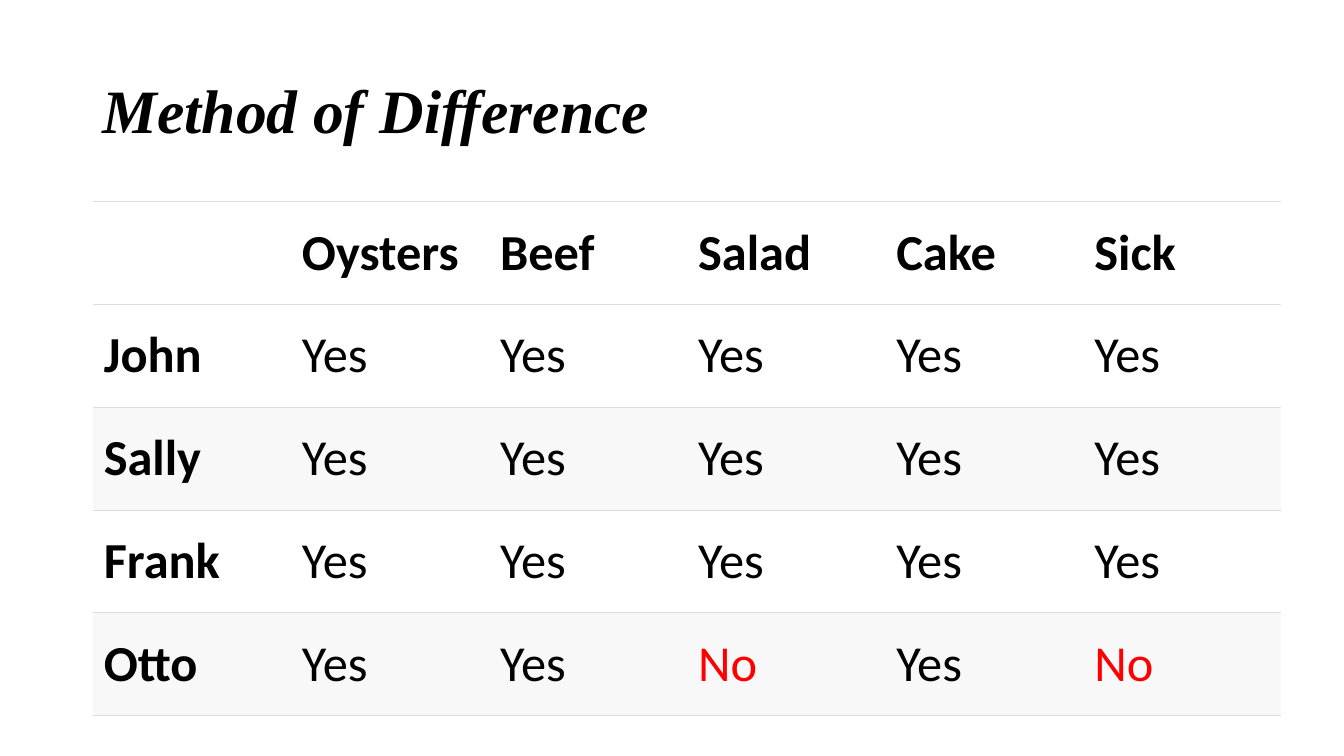
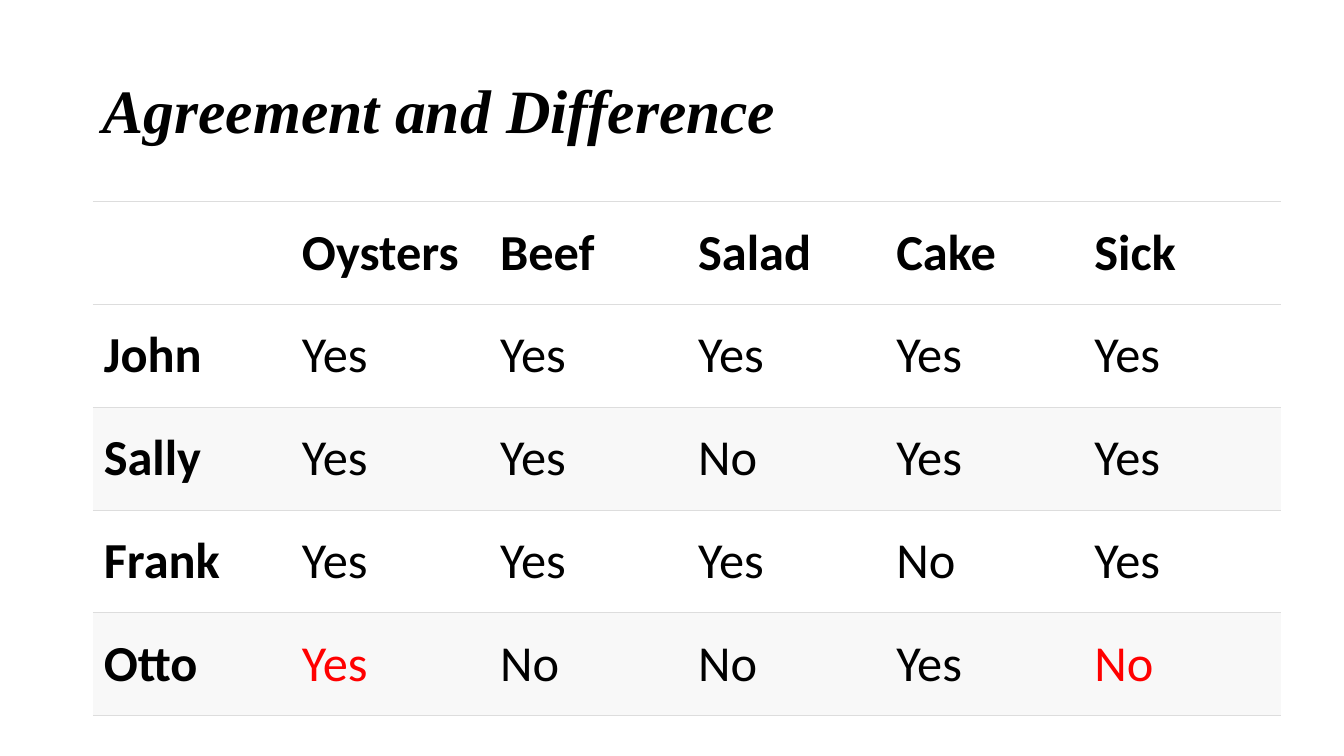
from typing import NamedTuple

from lxml import etree
from pptx import Presentation
from pptx import util as u
from pptx.dml.color import RGBColor
from pptx.enum import text
from pptx.oxml import ns

BLACK = RGBColor(0x00, 0x00, 0x00)
RED = RGBColor(0xFF, 0x00, 0x00)
WHITE = RGBColor(0xFF, 0xFF, 0xFF)
BAND = RGBColor(0xF8, 0xF8, 0xF8)
RULE = RGBColor(0xDD, 0xDD, 0xDD)

TITLE_FONT, TABLE_FONT = "Times New Roman", "Calibri"
TITLE_SIZE, TABLE_SIZE = u.Pt(44), u.Pt(36)
THIN, THICK = u.Pt(0.6), u.Pt(1.2)

SLIDE_WIDTH, SLIDE_HEIGHT = u.Inches(13.33), u.Inches(7.5)
LEFT = u.Inches(0.92)
TITLE_TOP, TITLE_WIDTH, TITLE_HEIGHT = u.Inches(0.4), u.Inches(11.5), u.Inches(1.45)
TABLE_TOP, TABLE_WIDTH, ROW_HEIGHT = u.Inches(2), u.Inches(11.79), u.Inches(1.02)
SIDE_INSET, END_INSET = u.Inches(0.11), u.Inches(0.05)

HEADINGS = ("", "Oysters", "Beef", "Salad", "Cake", "Sick")


class Diner(NamedTuple):
    name: str
    answers: str  # one letter for each heading: Y or N
    marked: tuple[str, ...] = ()  # headings whose answer is red


class Method(NamedTuple):
    title: str
    diners: tuple[Diner, ...]


METHODS = (
    Method("Method of Difference", (
        Diner("John", "YYYYY"),
        Diner("Sally", "YYYYY"),
        Diner("Frank", "YYYYY"),
        Diner("Otto", "YYNYN", ("Salad", "Sick")),
    )),
    Method("Agreement and Difference", (
        Diner("John", "YYYYY"),
        Diner("Sally", "YYNYY"),
        Diner("Frank", "YYYNY"),
        Diner("Otto", "YNNYN", ("Oysters", "Sick")),
    )),
)


def add_span(para, words: str, font: str, size: u.Length, color: RGBColor,
             bold: bool, italic: bool = False) -> None:
    span = para.add_run()
    span.text = words
    span.font.name, span.font.size = font, size
    span.font.bold, span.font.italic = bold, italic
    span.font.color.rgb = color


def add_title(page, words: str) -> None:
    box = page.shapes.add_textbox(LEFT, TITLE_TOP, TITLE_WIDTH, TITLE_HEIGHT)
    frame = box.text_frame
    frame.word_wrap = True
    frame.vertical_anchor = text.MSO_ANCHOR.MIDDLE
    para = frame.paragraphs[0]
    para.line_spacing = 0.9
    add_span(para, words, TITLE_FONT, TITLE_SIZE, BLACK, bold=True, italic=True)


def rule_cell(cell, bottom: u.Length) -> None:
    """Rule a cell above and below only; call before setting its fill."""
    properties = cell._tc.get_or_add_tcPr()
    for side, width in (("L", 0), ("R", 0), ("T", THIN), ("B", bottom)):
        line = etree.SubElement(properties, ns.qn(f"a:ln{side}"), w=str(int(width)))
        if width:
            fill = etree.SubElement(line, ns.qn("a:solidFill"))
            etree.SubElement(fill, ns.qn("a:srgbClr"), val=str(RULE))
        else:
            etree.SubElement(line, ns.qn("a:noFill"))


def fill_cell(cell, words: str, color: RGBColor, bold: bool,
              background: RGBColor, bottom: u.Length) -> None:
    rule_cell(cell, bottom)
    cell.fill.solid()
    cell.fill.fore_color.rgb = background
    cell.vertical_anchor = text.MSO_ANCHOR.MIDDLE
    cell.margin_left = cell.margin_right = SIDE_INSET
    cell.margin_top = cell.margin_bottom = END_INSET
    if words:
        add_span(cell.text_frame.paragraphs[0], words, TABLE_FONT, TABLE_SIZE, color, bold)


def add_answers(page, diners: tuple[Diner, ...]) -> None:
    rows = [HEADINGS]
    for diner in diners:
        rows.append((diner.name, *("Yes" if a == "Y" else "No" for a in diner.answers)))
    table = page.shapes.add_table(len(rows), len(HEADINGS), LEFT, TABLE_TOP,
                                  TABLE_WIDTH, ROW_HEIGHT * len(rows)).table
    table.horz_banding = False
    for r, row in enumerate(rows):
        background = BAND if r and r % 2 == 0 else WHITE
        bottom = THICK if r == len(rows) - 1 else THIN
        marked = diners[r - 1].marked if r else ()
        for c, words in enumerate(row):
            color = RED if HEADINGS[c] in marked else BLACK
            fill_cell(table.cell(r, c), words, color, r == 0 or c == 0, background, bottom)


def main() -> None:
    deck = Presentation()
    deck.slide_width, deck.slide_height = SLIDE_WIDTH, SLIDE_HEIGHT
    blank = deck.slide_layouts[6]
    for method in METHODS:
        page = deck.slides.add_slide(blank)
        add_title(page, method.title)
        add_answers(page, method.diners)
    deck.save("out.pptx")


if __name__ == "__main__":
    main()
